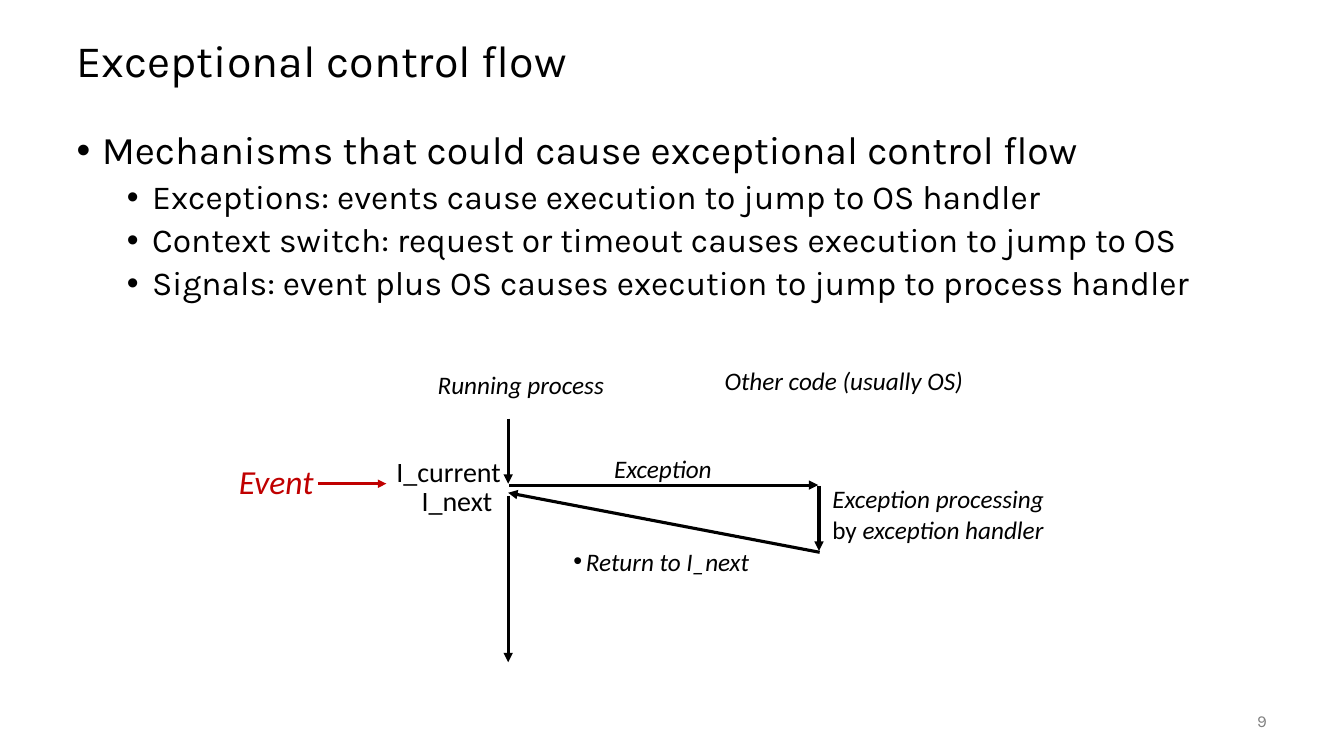
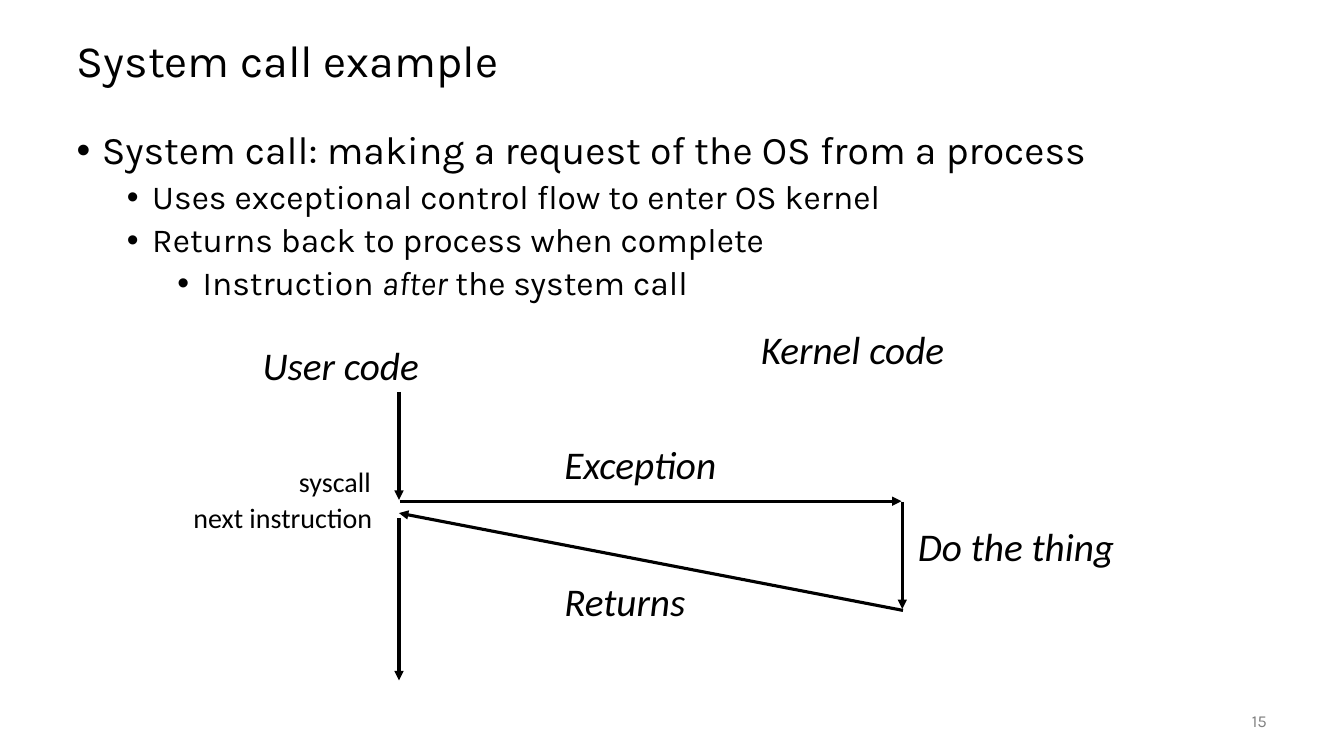
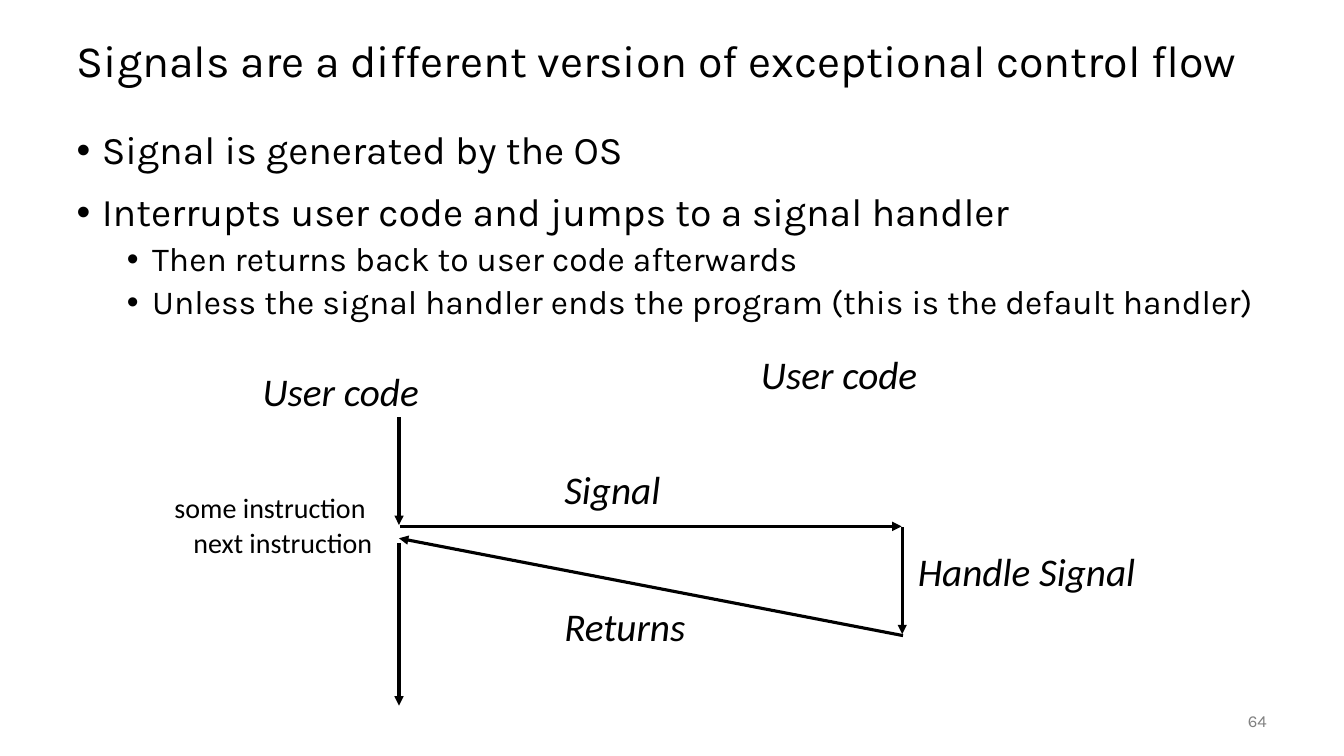
from dataclasses import dataclass

from lxml.etree import SubElement
from pptx import Presentation
from pptx.dml.color import RGBColor
from pptx.enum.shapes import MSO_CONNECTOR
from pptx.enum.text import MSO_ANCHOR, MSO_AUTO_SIZE, PP_ALIGN
from pptx.oxml.ns import qn
from pptx.util import Pt

# Shared look
COLORS = {"ink": "000000", "event": "C00000", "number": "808080"}
HEAD, NOTE = "Karla", "Calibri"
LEFT, WIDE = 47.5, 864


@dataclass
class Label:
    """Text in a box; parts between asterisks are italic."""
    text: str
    x: float
    y: float
    width: float
    size: float = 28
    color: str = "ink"
    align: PP_ALIGN = PP_ALIGN.LEFT
    wrap: bool = False
    bullet: bool = False


@dataclass
class Arrow:
    x1: float
    y1: float
    x2: float
    y2: float
    color: str = "ink"
    weight: float = 2.25


@dataclass
class Flow:
    """Control leaves the left line, runs on the right, then returns."""
    left: float
    right: float
    start: float
    call: float
    back: float
    resume: float
    leave: float
    stop: float

    def arrows(self) -> list[Arrow]:
        return [
            Arrow(self.left, self.start, self.left, self.call - 1),
            Arrow(self.left + 0.5, self.call, self.right, self.call),
            Arrow(self.right + 0.5, self.call + 0.5, self.right + 0.5, self.leave - 1),
            Arrow(self.right + 1, self.leave, self.left, self.back),
            Arrow(self.left, self.resume, self.left, self.stop),
        ]


@dataclass
class Page:
    number: int
    title: str
    points: list[tuple[int, str]]
    labels: list[Label]
    arrows: list[Arrow]


def write(par, text: str, font: str, size: float, color: str) -> None:
    """Fill a paragraph, with italics between asterisks."""
    for i, part in enumerate(text.split("*")):
        if not part:
            continue
        run = par.add_run()
        run.text = part
        run.font.name = font
        run.font.size = Pt(size)
        run.font.italic = i % 2 == 1
        run.font.color.rgb = RGBColor.from_string(COLORS[color])


def mark(par, left: float, hang: float) -> None:
    """Give a paragraph a round bullet and a hanging indent."""
    props = par._p.get_or_add_pPr()
    props.set("marL", str(Pt(left)))
    props.set("indent", str(-Pt(hang)))
    SubElement(props, qn("a:buFont")).set("typeface", "Arial")
    SubElement(props, qn("a:buChar")).set("char", "•")


def place(shape, x: float, y: float, width: float, height: float) -> None:
    shape.left, shape.top = Pt(x), Pt(y)
    shape.width, shape.height = Pt(width), Pt(height)


def add_title(slide, text: str) -> None:
    shape = slide.shapes.title
    place(shape, LEFT, 18, WIDE, 54)
    frame = shape.text_frame
    frame.auto_size = MSO_AUTO_SIZE.NONE
    frame.vertical_anchor = MSO_ANCHOR.MIDDLE
    par = frame.paragraphs[0]
    par.alignment = PP_ALIGN.LEFT
    par.line_spacing = 0.9
    write(par, text, HEAD, 32, "ink")


def add_list(slide, points: list[tuple[int, str]]) -> None:
    shape = slide.placeholders[1]
    place(shape, LEFT, 90, WIDE, 396)
    frame = shape.text_frame
    frame.auto_size = MSO_AUTO_SIZE.NONE
    for i, (level, text) in enumerate(points):
        par = frame.add_paragraph() if i else frame.paragraphs[0]
        par.level = level
        par.line_spacing = 0.9
        par.space_before = Pt(5 if level else 14)
        par.space_after = Pt(0)
        mark(par, 18 + 36 * level, 18)
        write(par, text, HEAD, 24 if level else 28, "ink")


def add_number(slide, number: int) -> None:
    box = slide.shapes.add_textbox(Pt(840), Pt(500), Pt(72), Pt(29))
    frame = box.text_frame
    frame.word_wrap = True
    frame.vertical_anchor = MSO_ANCHOR.MIDDLE
    par = frame.paragraphs[0]
    par.alignment = PP_ALIGN.RIGHT
    write(par, str(number), HEAD, 12, "number")


def add_label(slide, label: Label) -> None:
    lines = label.text.split("\n")
    height = round(label.size * 1.22 * len(lines) + 7.2)
    box = slide.shapes.add_textbox(
        Pt(label.x), Pt(label.y), Pt(label.width), Pt(height))
    frame = box.text_frame
    frame.word_wrap = label.wrap
    frame.auto_size = MSO_AUTO_SIZE.SHAPE_TO_FIT_TEXT
    for i, line in enumerate(lines):
        par = frame.add_paragraph() if i else frame.paragraphs[0]
        par.alignment = label.align
        if label.bullet:
            mark(par, 9, 9)
        write(par, line, NOTE, label.size, label.color)


def add_arrow(slide, arrow: Arrow) -> None:
    line = slide.shapes.add_connector(
        MSO_CONNECTOR.STRAIGHT,
        Pt(arrow.x1), Pt(arrow.y1), Pt(arrow.x2), Pt(arrow.y2))
    line.line.color.rgb = RGBColor.from_string(COLORS[arrow.color])
    line.line.width = Pt(arrow.weight)
    props = line._element.spPr
    SubElement(props.find(qn("a:ln")), qn("a:tailEnd")).set("type", "triangle")
    SubElement(props, qn("a:effectLst"))


def add_page(deck, page: Page) -> None:
    slide = deck.slides.add_slide(deck.slide_layouts[1])
    add_title(slide, page.title)
    add_list(slide, page.points)
    add_number(slide, page.number)
    for arrow in page.arrows:
        add_arrow(slide, arrow)
    for label in page.labels:
        add_label(slide, label)


def code_flow(top: float) -> list[Arrow]:
    """The large flow, from the top of its first arrow."""
    return Flow(285, 644, top, top + 78, top + 86.5, top + 90,
                top + 156, top + 206).arrows()


def code_labels(top: float, other: Label, call: Label, work: Label,
                step: Label) -> list[Label]:
    """Labels of the large flow; the given ones are set from its top."""
    labels = [
        Label("*User code*", 180.5, -39.5, 127.5),
        other, call, work,
        Label("*Returns*", 396, 129, 101.5),
        step,
        Label("next instruction", LEFT, 74, 225.5, 20,
              align=PP_ALIGN.RIGHT, wrap=True),
    ]
    for label in labels:
        label.y += top
    return labels


# Content
PAGES = [
    Page(
        9, "Exceptional control flow",
        [(0, "Mechanisms that could cause exceptional control flow"),
         (1, "Exceptions: events cause execution to jump to OS handler"),
         (1, "Context switch: request or timeout causes execution to jump to OS"),
         (1, "Signals: event plus OS causes execution to jump to process handler")],
        [Label("*Running process*", 305.5, 260.5, 134.5, 18),
         Label("*Other code (usually OS)*", 510.5, 257.5, 185, 18),
         Label("*Exception*", 431.5, 320.5, 90, 18),
         Label("*Exception processing*\nby *exception handler*",
               587.5, 342, 169, 18, wrap=True),
         Label("*Return to I_next*", 402.5, 386.5, 141, 18, bullet=True),
         Label("*Event*", 163.5, 325.5, 90, 24, "event", wrap=True),
         Label("I_current", 276, 321, 90, 20),
         Label("I_next", 294, 342, 65.5, 20)],
        Flow(363, 584.5, 299, 346.5, 352, 354, 394.5, 473).arrows()
        + [Arrow(227, 345.5, 276, 345.5, "event", 2)],
    ),
    Page(
        15, "System call example",
        [(0, "System call: making a request of the OS from a process"),
         (1, "Uses exceptional control flow to enter OS kernel"),
         (1, "Returns back to process when complete"),
         (2, "Instruction *after* the system call")],
        code_labels(
            280,
            Label("*Kernel code*", 536.5, -51, 147),
            Label("*Exception*", 396, 31, 124),
            Label("*Do the thing*", 648.5, 89.5, 155.5, wrap=True),
            Label("syscall", 206.5, 48.5, 66, 20)),
        code_flow(280),
    ),
    Page(
        64, "Signals are a different version of exceptional control flow",
        [(0, "Signal is generated by the OS"),
         (0, "Interrupts user code and jumps to a signal handler"),
         (1, "Then returns back to user code afterwards"),
         (1, "Unless the signal handler ends the program (this is the default handler)")],
        code_labels(
            298,
            Label("*User code*", 536.5, -51, 127.5),
            Label("*Signal*", 396, 31, 83.5),
            Label("*Handle Signal*", 648.5, 89.5, 173, wrap=True),
            Label("some instruction", 117.5, 48.5, 242, 20, wrap=True)),
        code_flow(298),
    ),
]


def main() -> None:
    deck = Presentation()
    deck.slide_width, deck.slide_height = Pt(960), Pt(540)
    for page in PAGES:
        add_page(deck, page)
    deck.save("out.pptx")


if __name__ == "__main__":
    main()
